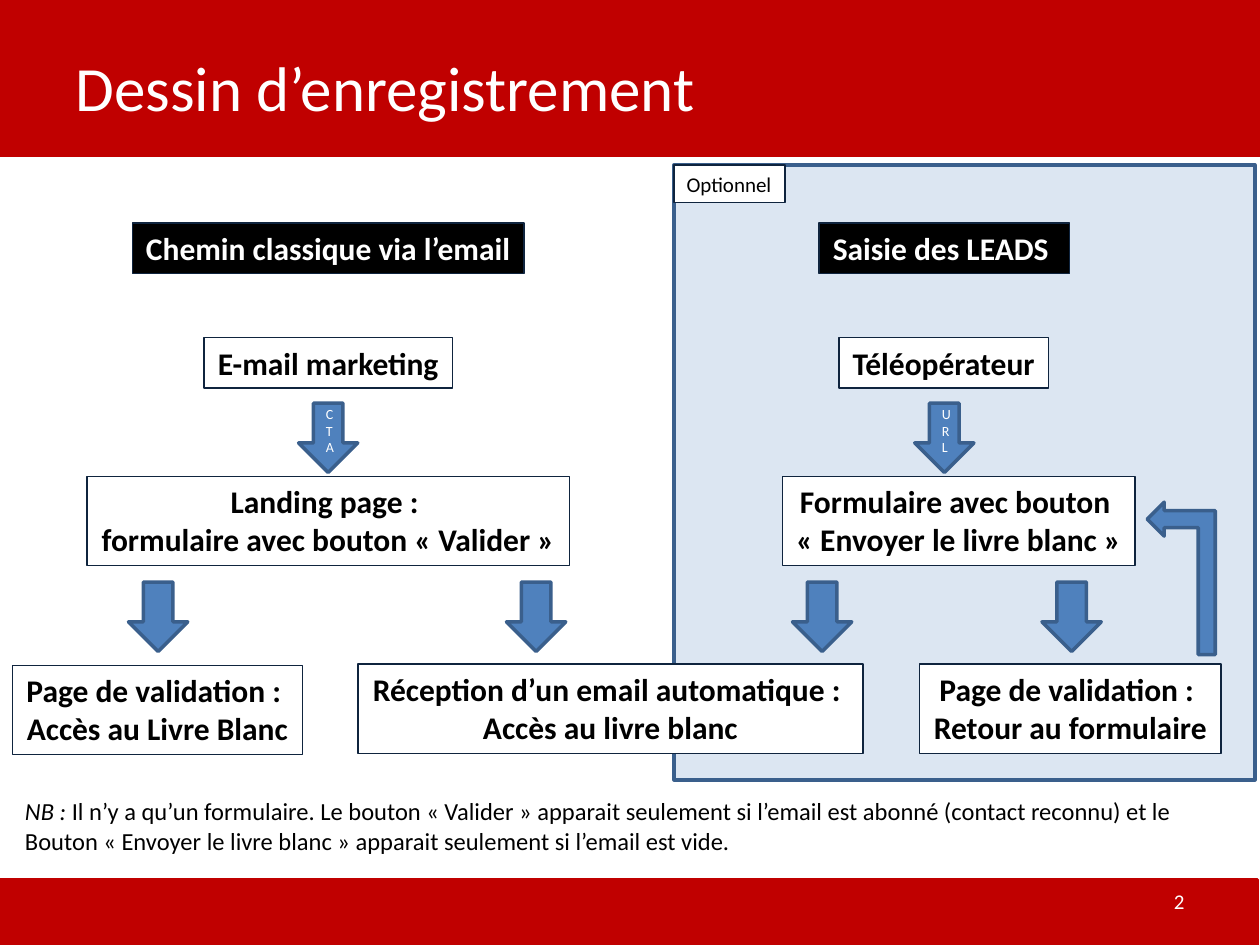
from pptx import Presentation
from pptx import util as u
from pptx.dml import color
from pptx.enum import shapes, text

RED, BLUE, STEEL, NAVY = "C00000", "4F81BD", "3A5F8C", "0F243E"
WHITE, BLACK, PALE = "FFFFFF", "000000", "DCE6F2"
SHAPE = shapes.MSO_SHAPE
ALIGN = text.PP_ALIGN
MIDDLE = text.MSO_ANCHOR.MIDDLE


def rgb(value):
    return color.RGBColor.from_string(value)


class Sketch:
    """Draws the slide's elements in one shared style."""

    def __init__(self, slide, font="Calibri"):
        self.slide = slide
        self.font = font

    def style(self, para, size, ink, bold=False, align=ALIGN.LEFT):
        para.alignment = align
        para.font.name = self.font
        para.font.size = u.Pt(size)
        para.font.bold = bold
        para.font.color.rgb = rgb(ink)

    def shape(self, kind, bounds, fill, line, weight=2):
        shape = self.slide.shapes.add_shape(kind, *map(u.Inches, bounds))
        shape.shadow.inherit = False
        shape.fill.solid()
        shape.fill.fore_color.rgb = rgb(fill)
        shape.line.color.rgb = rgb(line)
        shape.line.width = u.Pt(weight)
        return shape

    def label(self, bounds, lines, fill=WHITE, ink=BLACK, size=18, bold=True, align=ALIGN.CENTER):
        box = self.shape(SHAPE.RECTANGLE, bounds, fill, NAVY, 0.75)
        frame = box.text_frame
        frame.word_wrap = False
        frame.auto_size = text.MSO_AUTO_SIZE.SHAPE_TO_FIT_TEXT
        frame.vertical_anchor = text.MSO_ANCHOR.TOP
        frame.text = "\n".join(lines)
        for para in frame.paragraphs:
            self.style(para, size, ink, bold, align)

    def down_arrow(self, left, top, caption=""):
        arrow = self.shape(SHAPE.DOWN_ARROW, (left, top, 0.47, 0.55), BLUE, STEEL)
        if caption:
            frame = arrow.text_frame
            frame.word_wrap = True
            frame.vertical_anchor = MIDDLE
            frame.text = caption
            self.style(frame.paragraphs[0], 8, WHITE, align=ALIGN.CENTER)

    def words(self, bounds, spans, size, ink, align=ALIGN.LEFT, anchor=MIDDLE):
        box = self.slide.shapes.add_textbox(*map(u.Inches, bounds))
        frame = box.text_frame
        frame.word_wrap = True
        frame.vertical_anchor = anchor
        para = frame.paragraphs[0]
        self.style(para, size, ink, align=align)
        for content, italic in spans:
            span = para.add_run()
            span.text = content
            span.font.italic = italic


def main():
    deck = Presentation()
    deck.slide_width, deck.slide_height = u.Inches(10), u.Inches(7.5)
    page = deck.slides.add_slide(deck.slide_layouts[6])
    sketch = Sketch(page)

    sketch.shape(SHAPE.RECTANGLE, (-0.02, 6.98, 10, 0.55), RED, RED)
    sketch.shape(SHAPE.RECTANGLE, (0, 0, 10, 1.23), RED, RED)
    sketch.shape(SHAPE.RECTANGLE, (5.35, 1.31, 4.61, 4.88), PALE, STEEL)
    sketch.words((0.5, 0.06, 9, 1.25), [("Dessin d’enregistrement", False)], 36, WHITE)
    sketch.words((7.17, 6.95, 2.33, 0.4), [("2", False)], 12, WHITE, ALIGN.RIGHT)

    sketch.label((5.35, 1.31, 0.88, 0.3), ["Optionnel"], size=12, bold=False, align=ALIGN.LEFT)
    for left, width, heading in (
        (1.05, 3.11, "Chemin classique via l’email"),
        (6.5, 1.99, "Saisie des LEADS "),
    ):
        sketch.label((left, 1.77, width, 0.4), [heading], BLACK, WHITE)
    for left, width, sender in ((1.62, 1.97, "E-mail marketing"), (6.66, 1.66, "Téléopérateur")):
        sketch.label((left, 2.68, width, 0.4), [sender])
    for left, top, width, lines in (
        (0.69, 3.78, 3.83, ["Landing page : ", "formulaire avec bouton « Valider »"]),
        (6.21, 3.78, 2.8, ["Formulaire avec bouton ", "« Envoyer le livre blanc »"]),
        (0.1, 5.28, 2.3, ["Page de validation : ", "Accès au Livre Blanc"]),
        (2.84, 5.27, 4.01, ["Réception d’un email automatique : ", "Accès au livre blanc"]),
        (7.3, 5.27, 2.39, ["Page de validation : ", "Retour au formulaire"]),
    ):
        sketch.label((left, top, width, 0.71), lines)

    for left, caption in ((2.37, "CTA"), (7.26, "URL")):
        sketch.down_arrow(left, 3.2, caption)
    for left in (1.02, 4.02, 6.29, 8.27):
        sketch.down_arrow(left, 4.62)
    back_arrow = sketch.shape(SHAPE.BENT_UP_ARROW, (8.77, 4.32, 1.21, 0.54), BLUE, STEEL)
    back_arrow.rotation = 270

    note = (
        "Il n’y a qu’un formulaire. Le bouton « Valider » apparait seulement si l’email est "
        "abonné (contact reconnu) et le Bouton « Envoyer le livre blanc » apparait seulement "
        "si l’email est vide."
    )
    sketch.words(
        (0.1, 6.27, 9.7, 0.57), [("NB : ", True), (note, False)], 14, BLACK,
        anchor=text.MSO_ANCHOR.TOP,
    )
    deck.save("out.pptx")


if __name__ == "__main__":
    main()
